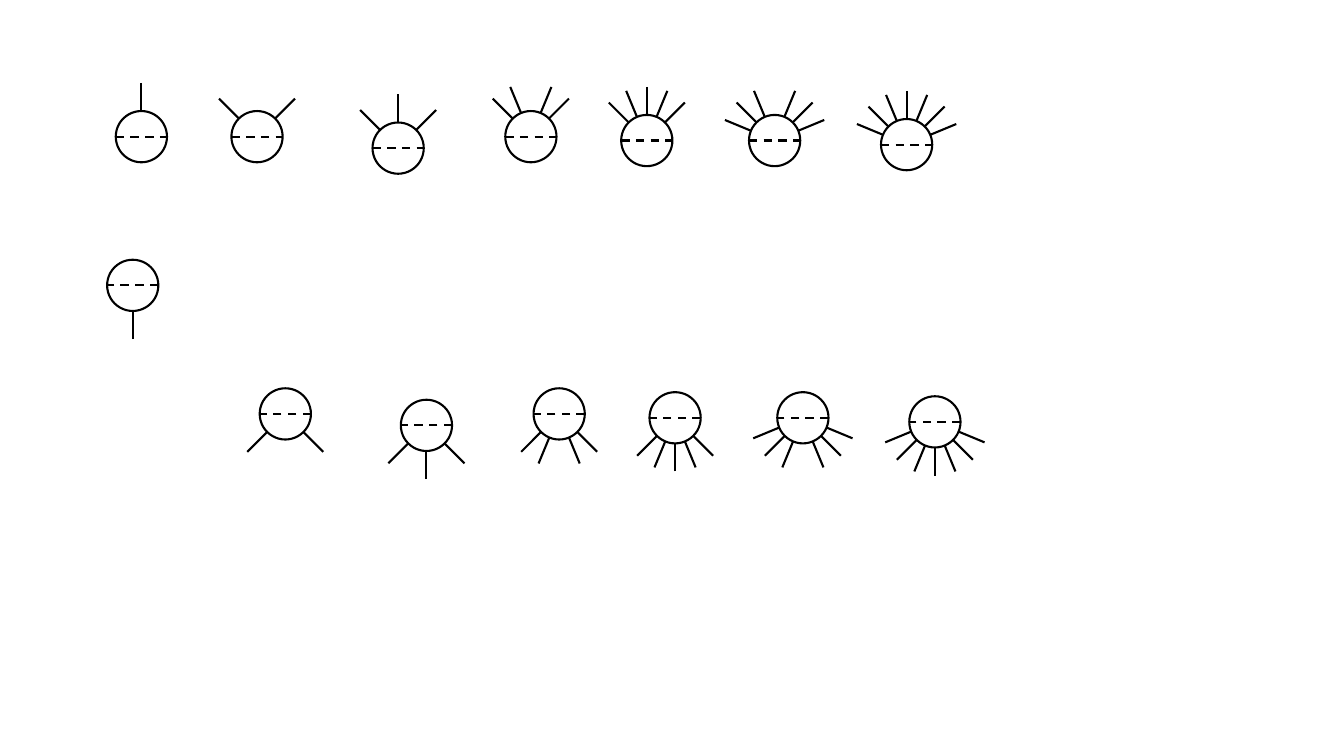
from math import cos, radians, sin

from lxml.etree import SubElement
from pptx import Presentation
from pptx.dml.color import RGBColor
from pptx.enum.dml import MSO_LINE
from pptx.enum.shapes import MSO_CONNECTOR, MSO_SHAPE
from pptx.oxml.ns import qn
from pptx.util import Pt

BLACK, WHITE = "000000", "FFFFFF"
RAY = 38.4      # centre to ray tip
RADIUS = 18.3   # circle
ROW_SHIFT = (20.2, 198)  # upper row to lower row

# Ray angles from the vertical, by number of rays
FANS = {
    1: [0],
    2: [-45, 45],
    3: [-45, 45, 0],
    4: [-45, 45, -22.5, 22.5],
    5: [-45, 45, 0, -22.5, 22.5],
    6: [-45, 45, -22.5, 67.5, 22.5, -67.5],
    7: [-45, 45, 0, -22.5, 67.5, 22.5, -67.5],
}
# Centre of the upper dial, by number of rays
CENTRES = {
    1: (101, 97.6), 2: (183.6, 97.6), 3: (284.4, 105.8), 4: (379.2, 97.6),
    5: (462, 100.4), 6: (553.3, 100.4), 7: (647.6, 103.3),
}
LOWER_SINGLE = (94.8, 203.8)


def color(hex_code):
    """Turn a hex string into a colour."""
    return RGBColor.from_string(hex_code)


def add_line(group, x1, y1, x2, y2, dashed=False):
    """Draw a black line between two points."""
    line = group.shapes.add_connector(
        MSO_CONNECTOR.STRAIGHT, Pt(x1), Pt(y1), Pt(x2), Pt(y2))
    line.line.color.rgb = color(BLACK)
    line.line.width = Pt(1.5)
    if dashed:
        line.line.dash_style = MSO_LINE.DASH
    SubElement(line._element.spPr, qn("a:effectLst"))


def add_white_shape(group, kind, x, y, w, h, outline, width, rotation):
    """Draw a white preset shape with the given outline."""
    s = group.shapes.add_shape(kind, Pt(x), Pt(y), Pt(w), Pt(h))
    s.rotation = rotation
    s.shadow.inherit = False
    s.fill.solid()
    s.fill.fore_color.rgb = color(WHITE)
    s.line.color.rgb = color(outline)
    s.line.width = Pt(width)


def add_dial(slide, cx, cy, angles, up=True):
    """Draw a circle with a dashed diameter and rays above or below it."""
    group = slide.shapes.add_group_shape()
    side = 1 if up else -1
    rotation = 0 if up else 180
    for angle in angles:
        dx = side * RAY * sin(radians(angle))
        dy = -side * RAY * cos(radians(angle))
        add_line(group, cx + dx, cy + dy, cx - dx, cy - dy)
    # The white half hides the far end of each ray
    add_white_shape(group, MSO_SHAPE.RECTANGLE, cx - RAY,
                    cy if up else cy - RAY, 2 * RAY, RAY, WHITE, 1, rotation)
    add_white_shape(group, MSO_SHAPE.OVAL, cx - RADIUS, cy - RADIUS,
                    2 * RADIUS, 2 * RADIUS, BLACK, 1.5, rotation)
    add_line(group, cx - side * RADIUS, cy, cx + side * RADIUS, cy, dashed=True)


def main():
    """Build the slide with its two rows of dials."""
    prs = Presentation()
    prs.slide_width, prs.slide_height = Pt(960), Pt(540)
    slide = prs.slides.add_slide(prs.slide_layouts[6])
    for count, (x, y) in CENTRES.items():
        add_dial(slide, x, y, FANS[count])
    for count, (x, y) in CENTRES.items():
        lower = (x + ROW_SHIFT[0], y + ROW_SHIFT[1])
        add_dial(slide, *(LOWER_SINGLE if count == 1 else lower),
                 FANS[count], up=False)
    prs.save("out.pptx")


main()
